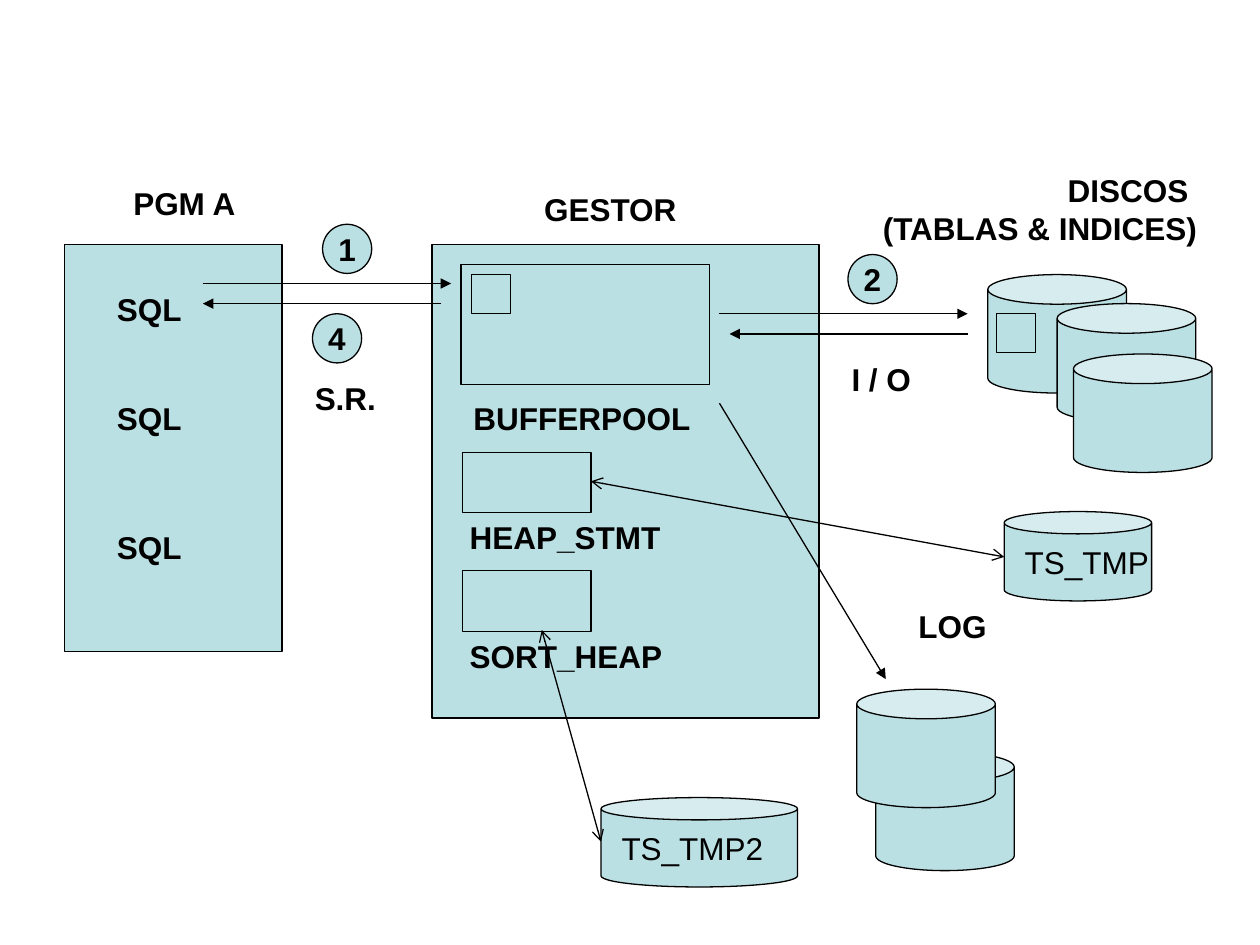
from dataclasses import dataclass

from lxml import etree
from pptx import Presentation
from pptx.dml.color import RGBColor
from pptx.enum.shapes import MSO_CONNECTOR, MSO_SHAPE
from pptx.enum.text import MSO_ANCHOR, MSO_AUTO_SIZE, PP_ALIGN
from pptx.oxml.ns import qn
from pptx.util import Inches, Pt

RECTANGLE = MSO_SHAPE.RECTANGLE
CAN = MSO_SHAPE.CAN
OVAL = MSO_SHAPE.OVAL
STRAIGHT = MSO_CONNECTOR.STRAIGHT
MIDDLE = MSO_ANCHOR.MIDDLE
FIT_SHAPE = MSO_AUTO_SIZE.SHAPE_TO_FIT_TEXT
LEFT, CENTER, RIGHT = PP_ALIGN.LEFT, PP_ALIGN.CENTER, PP_ALIGN.RIGHT


@dataclass(frozen=True)
class Theme:
    fill: RGBColor = RGBColor(0xBB, 0xE0, 0xE3)
    ink: RGBColor = RGBColor(0, 0, 0)
    font: str = "Arial"
    text_size: Pt = Pt(18)
    line_width: Pt = Pt(0.75)


theme = Theme()
presentation = Presentation()
presentation.slide_width = Inches(10)
presentation.slide_height = Inches(7.5)
slide = presentation.slides.add_slide(presentation.slide_layouts[6])


def write_text(shape, text, alignment, bold):
    text_frame = shape.text_frame
    text_frame.word_wrap = False
    text_frame.text = text
    for paragraph in text_frame.paragraphs:
        paragraph.alignment = alignment
        for run in paragraph.runs:
            run.font.name = theme.font
            run.font.size = theme.text_size
            run.font.bold = bold
            run.font.color.rgb = theme.ink


def add_box(kind, left, top, width, height):
    shape = slide.shapes.add_shape(
        kind, Inches(left), Inches(top), Inches(width), Inches(height)
    )
    shape.shadow.inherit = False
    shape.fill.solid()
    shape.fill.fore_color.rgb = theme.fill
    shape.line.color.rgb = theme.ink
    shape.line.width = theme.line_width
    return shape


program_box = (0.51, 1.94, 1.73, 3.23)
engine_box = (3.43, 1.94, 3.07, 3.76)
bufferpool_box = (3.66, 2.1, 1.97, 0.95)
heap_boxes = [(3.67, top, 1.02, 0.48) for top in (3.59, 4.53)]
page_boxes = [(3.74, 2.18, 0.31, 0.31), (7.91, 2.49, 0.31, 0.31)]

data_disks = [(7.84, 2.18), (8.39, 2.41), (8.52, 2.81)]
log_disks = [(6.95, 5.97), (6.8, 5.47)]
for left, top in data_disks + log_disks:
    add_box(CAN, left, top, 1.1, 0.94)

for box in [program_box, engine_box, bufferpool_box, *heap_boxes, *page_boxes]:
    add_box(RECTANGLE, *box)

temporary_disks = [(" TS_TMP", 7.97, 4.06, 1.17), (" TS_TMP2", 4.77, 6.33, 1.56)]
for text, left, top, width in temporary_disks:
    disk = add_box(CAN, left, top, width, 0.71)
    disk.text_frame.vertical_anchor = MIDDLE
    write_text(disk, text, LEFT, False)

steps = [("1", 2.56, 1.78), ("2", 6.73, 2.02), ("4", 2.48, 2.49)]
for number, left, top in steps:
    step = add_box(OVAL, left, top, 0.39, 0.39)
    step.text_frame.vertical_anchor = MIDDLE
    write_text(step, number, CENTER, True)

labels = [
    ("PGM A", 0.96, 1.41, 1.03, 0.4, LEFT),
    ("SQL", 0.83, 2.25, 0.73, 0.4, LEFT),
    ("SQL", 0.83, 3.12, 0.73, 0.4, LEFT),
    ("SQL", 0.83, 4.14, 0.73, 0.4, LEFT),
    ("GESTOR", 4.22, 1.46, 1.25, 0.4, LEFT),
    ("BUFFERPOOL", 3.66, 3.12, 1.93, 0.4, LEFT),
    ("HEAP_STMT", 3.63, 4.06, 1.73, 0.4, LEFT),
    ("SORT_HEAP", 3.63, 5.01, 1.74, 0.4, LEFT),
    ("S.R.", 2.4, 2.96, 0.7, 0.4, LEFT),
    ("I / O", 6.66, 2.81, 0.68, 0.4, LEFT),
    ("LOG", 7.19, 4.77, 0.75, 0.4, LEFT),
    ("DISCOS \n(TABLAS & INDICES)", 6.89, 1.31, 2.71, 0.7, RIGHT),
]
for text, left, top, width, height, alignment in labels:
    label = slide.shapes.add_textbox(
        Inches(left), Inches(top), Inches(width), Inches(height)
    )
    write_text(label, text, alignment, True)
    label.text_frame.auto_size = FIT_SHAPE

one_way = {"tailEnd": "triangle"}
two_way = {"headEnd": "arrow", "tailEnd": "arrow"}
arrows = [
    (1.61, 2.25, 3.58, 2.25, one_way),
    (3.5, 2.41, 1.61, 2.41, one_way),
    (5.71, 2.49, 7.68, 2.49, one_way),
    (7.68, 2.65, 5.79, 2.65, one_way),
    (5.71, 3.2, 7.03, 5.39, one_way),
    (4.69, 3.82, 7.97, 4.42, two_way),
    (4.3, 5, 4.77, 6.68, two_way),
]
for start_x, start_y, end_x, end_y, ends in arrows:
    arrow = slide.shapes.add_connector(
        STRAIGHT, Inches(start_x), Inches(start_y), Inches(end_x), Inches(end_y)
    )
    arrow.line.color.rgb = theme.ink
    arrow.line.width = theme.line_width
    line_element = arrow.line._get_or_add_ln()
    for end, head_type in ends.items():
        etree.SubElement(line_element, qn(f"a:{end}"), type=head_type)
    etree.SubElement(arrow._element.spPr, qn("a:effectLst"))

presentation.save("out.pptx")
